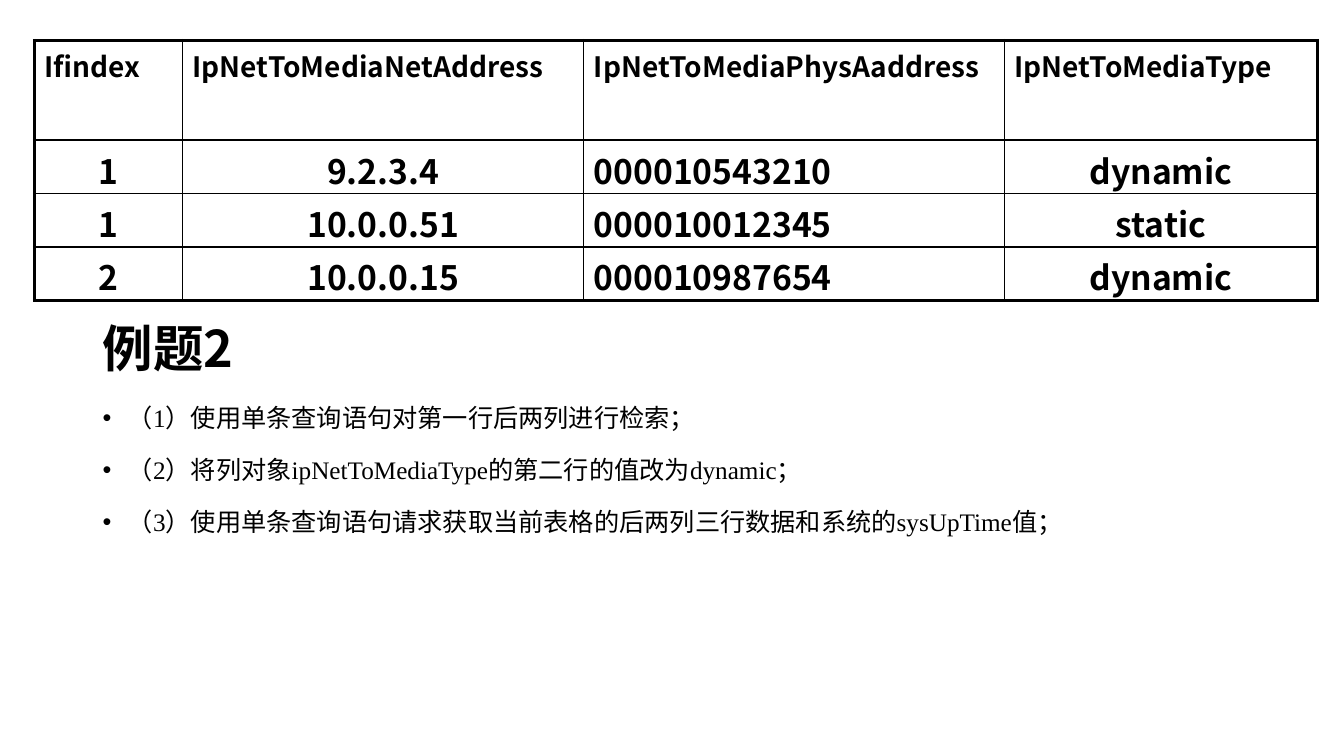
from lxml.etree import SubElement
from pptx import Presentation
from pptx.dml.color import RGBColor
from pptx.enum.text import MSO_ANCHOR, PP_ALIGN
from pptx.oxml.ns import qn
from pptx.util import Inches, Pt

COLORS = {"ink": "000000"}
SANS, SERIF = "Noto Sans CJK SC", "Times New Roman"
OUTER, INNER = 2.25, 1

COLUMN_WIDTHS = [1.47, 3.98, 4.17, 3.11]
ROW_HEIGHTS = [0.99, 0.53, 0.53, 0.53]
ADDRESS_ROWS = [
    ["Ifindex", "IpNetToMediaNetAddress", "IpNetToMediaPhysAaddress", "IpNetToMediaType"],
    ["1", "9.2.3.4", "000010543210", "dynamic"],
    ["1", "10.0.0.51", "000010012345", "static"],
    ["2", "10.0.0.15", "000010987654", "dynamic"],
]
QUESTIONS = [
    "（1）使用单条查询语句对第一行后两列进行检索；",
    "（2）将列对象ipNetToMediaType的第二行的值改为dynamic；",
    "（3）使用单条查询语句请求获取当前表格的后两列三行数据和系统的sysUpTime值；",
]


def write(paragraph, text, size, font=SANS, bold=False, align=PP_ALIGN.LEFT,
          line_spacing=None, before=None, bullet=None):
    paragraph.alignment = align
    paragraph.line_spacing = line_spacing
    if before is not None:
        paragraph.space_before = Pt(before)
    if bullet:
        properties = paragraph._p.get_or_add_pPr()
        properties.set("marL", str(Inches(0.25)))
        properties.set("indent", str(-Inches(0.25)))
        SubElement(properties, qn("a:buFont"), typeface="Arial")
        SubElement(properties, qn("a:buChar"), char=bullet)
    run = paragraph.add_run()
    run.text = text
    run.font.size = Pt(size)
    run.font.bold = bold
    run.font.name = font
    run.font.color.rgb = RGBColor.from_string(COLORS["ink"])
    SubElement(run._r.get_or_add_rPr(), qn("a:ea"), typeface=SANS)


def draw_borders(cell, **widths):
    """Line the cell's sides, given in points in the order L, R, T, B."""
    for side, width in widths.items():
        line = SubElement(cell._tc.get_or_add_tcPr(), qn(f"a:ln{side}"), w=str(Pt(width)))
        fill = SubElement(line, qn("a:solidFill"))
        SubElement(fill, qn("a:srgbClr"), val=COLORS["ink"])


deck = Presentation()
deck.slide_width, deck.slide_height = Inches(13.33), Inches(7.5)
slide = deck.slides.add_slide(deck.slide_layouts[6])

# Title
heading = slide.shapes.add_textbox(Inches(0.92), Inches(2.99), Inches(11.5), Inches(0.98)).text_frame
heading.word_wrap = True
heading.vertical_anchor = MSO_ANCHOR.MIDDLE
write(heading.paragraphs[0], "例题2", 36, bold=True, line_spacing=0.9)

# Address table
addresses = slide.shapes.add_table(
    len(ROW_HEIGHTS), len(COLUMN_WIDTHS), Inches(0.34), Inches(0.4),
    Inches(sum(COLUMN_WIDTHS)), Inches(sum(ROW_HEIGHTS))).table
addresses.first_row = addresses.horz_banding = False
for column, width in zip(addresses.columns, COLUMN_WIDTHS):
    column.width = Inches(width)
last_row, last_column = len(ROW_HEIGHTS) - 1, len(COLUMN_WIDTHS) - 1
for r, values in enumerate(ADDRESS_ROWS):
    addresses.rows[r].height = Inches(ROW_HEIGHTS[r])
    for c, value in enumerate(values):
        cell = addresses.cell(r, c)
        draw_borders(cell,
                     L=OUTER if c == 0 else INNER,
                     R=OUTER if c == last_column else INNER,
                     T=OUTER if r == 0 else INNER,
                     B=OUTER if r == last_row else INNER)
        cell.fill.background()
        left_aligned = r == 0 or c == 2
        write(cell.text_frame.paragraphs[0], value, 20 if r == 0 else 24, bold=True,
              align=PP_ALIGN.LEFT if left_aligned else PP_ALIGN.CENTER)

# Questions
questions = slide.shapes.add_textbox(Inches(0.92), Inches(3.87), Inches(11.5), Inches(2.89)).text_frame
questions.word_wrap = True
for i, question in enumerate(QUESTIONS):
    paragraph = questions.add_paragraph() if i else questions.paragraphs[0]
    write(paragraph, question, 18, font=SERIF, align=PP_ALIGN.JUSTIFY,
          line_spacing=1.25, before=10, bullet="•")

deck.save("out.pptx")
